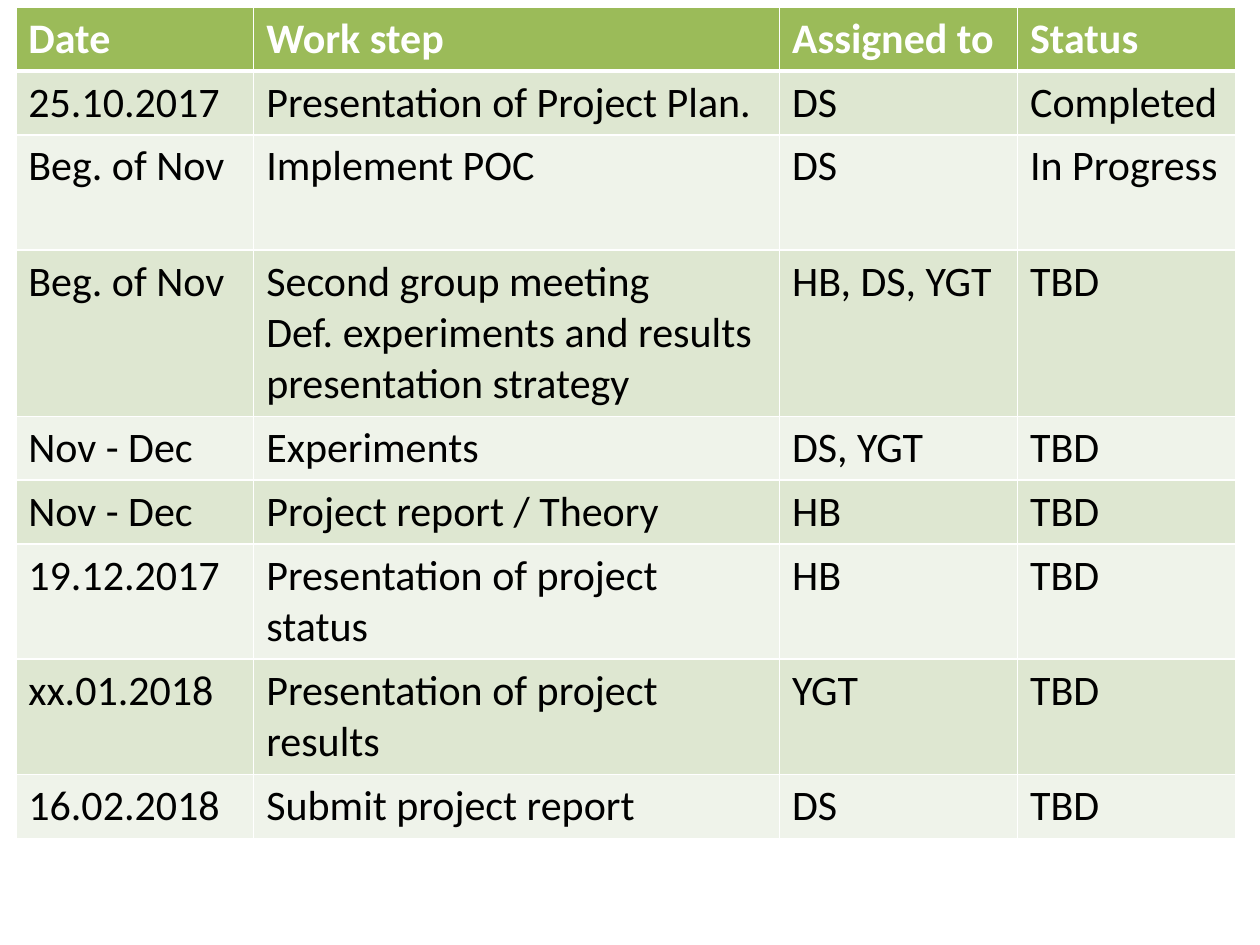
import dataclasses
import typing

import lxml.etree
import pptx
import pptx.dml.color
import pptx.oxml.ns
import pptx.util

Pt = pptx.util.Pt


@dataclasses.dataclass(frozen=True)
class Theme:
    font: str = "Calibri"
    size: float = 24
    header_fill: str = "9BBB59"
    band_fills: tuple[str, str] = ("DEE7D1", "EFF3EA")
    header_text: str = "FFFFFF"
    body_text: str = "000000"
    border: str = "FFFFFF"
    thin: float = 1
    thick: float = 3


class Step(typing.NamedTuple):
    date: str
    work: str
    assigned: str
    status: str
    lines: int = 1


THEME = Theme()

# Table content; lines is the row height in text lines
HEADER = Step("Date", "Work step", "Assigned to", "Status")
STEPS = [
    Step("25.10.2017", "Presentation of Project Plan.", "DS", "Completed"),
    Step("Beg. of Nov", "Implement POC", "DS", "In Progress", 2),
    Step("Beg. of Nov",
         "Second group meeting\nDef. experiments and results presentation strategy",
         "HB, DS, YGT", "TBD", 3),
    Step("Nov - Dec", "Experiments", "DS, YGT", "TBD"),
    Step("Nov - Dec", "Project report / Theory", "HB", "TBD"),
    Step("19.12.2017", "Presentation of project status", "HB", "TBD", 2),
    Step("xx.01.2018", "Presentation of project results", "YGT", "TBD", 2),
    Step("16.02.2018", "Submit project report", "DS", "TBD"),
]

# Geometry in points
LEFT, TOP = 9, 4
COL_WIDTHS = (136, 300.5, 136, 125)
ROW_HEIGHT, EXTRA_LINE = 36.5, 29.3


def rgb(color: str) -> pptx.dml.color.RGBColor:
    return pptx.dml.color.RGBColor.from_string(color)


def write_text(tf, text: str, *, color: str, bold: bool = False) -> None:
    for i, line in enumerate(text.split("\n")):
        p = tf.paragraphs[0] if i == 0 else tf.add_paragraph()
        r = p.add_run()
        r.text = line
        r.font.name = THEME.font
        r.font.size = Pt(THEME.size)
        r.font.bold = bold
        r.font.color.rgb = rgb(color)


def set_borders(cell, *, top: float, bottom: float) -> None:
    """Draw the four cell borders; they must precede the fill in tcPr."""
    qn = pptx.oxml.ns.qn
    tc_pr = cell._tc.get_or_add_tcPr()
    widths = {"L": THEME.thin, "R": THEME.thin, "T": top, "B": bottom}
    for i, (side, width) in enumerate(widths.items()):
        ln = lxml.etree.Element(qn(f"a:ln{side}"), w=str(int(Pt(width))))
        fill = lxml.etree.SubElement(ln, qn("a:solidFill"))
        lxml.etree.SubElement(fill, qn("a:srgbClr"), val=THEME.border)
        tc_pr.insert(i, ln)


def fill_row(table, index: int, step: Step) -> None:
    is_header = index == 0
    table.rows[index].height = Pt(ROW_HEIGHT + EXTRA_LINE * (step.lines - 1))
    fill = THEME.header_fill if is_header else THEME.band_fills[(index - 1) % 2]
    for col, text in enumerate(step[:4]):
        cell = table.cell(index, col)
        cell.fill.solid()
        cell.fill.fore_color.rgb = rgb(fill)
        write_text(cell.text_frame, text, bold=is_header,
                   color=THEME.header_text if is_header else THEME.body_text)
        set_borders(cell,
                    top=THEME.thick if index == 1 else THEME.thin,
                    bottom=THEME.thick if is_header else THEME.thin)


def main() -> None:
    prs = pptx.Presentation()
    prs.slide_width, prs.slide_height = Pt(720), Pt(540)
    s = prs.slides.add_slide(prs.slide_layouts[6])

    # Schedule table
    rows = [HEADER, *STEPS]
    height = sum(ROW_HEIGHT + EXTRA_LINE * (row.lines - 1) for row in rows)
    table = s.shapes.add_table(len(rows), len(COL_WIDTHS), Pt(LEFT), Pt(TOP),
                               Pt(sum(COL_WIDTHS)), Pt(height)).table
    for column, width in zip(table.columns, COL_WIDTHS):
        column.width = Pt(width)
    for i, row in enumerate(rows):
        fill_row(table, i, row)

    prs.save("out.pptx")


if __name__ == "__main__":
    main()
